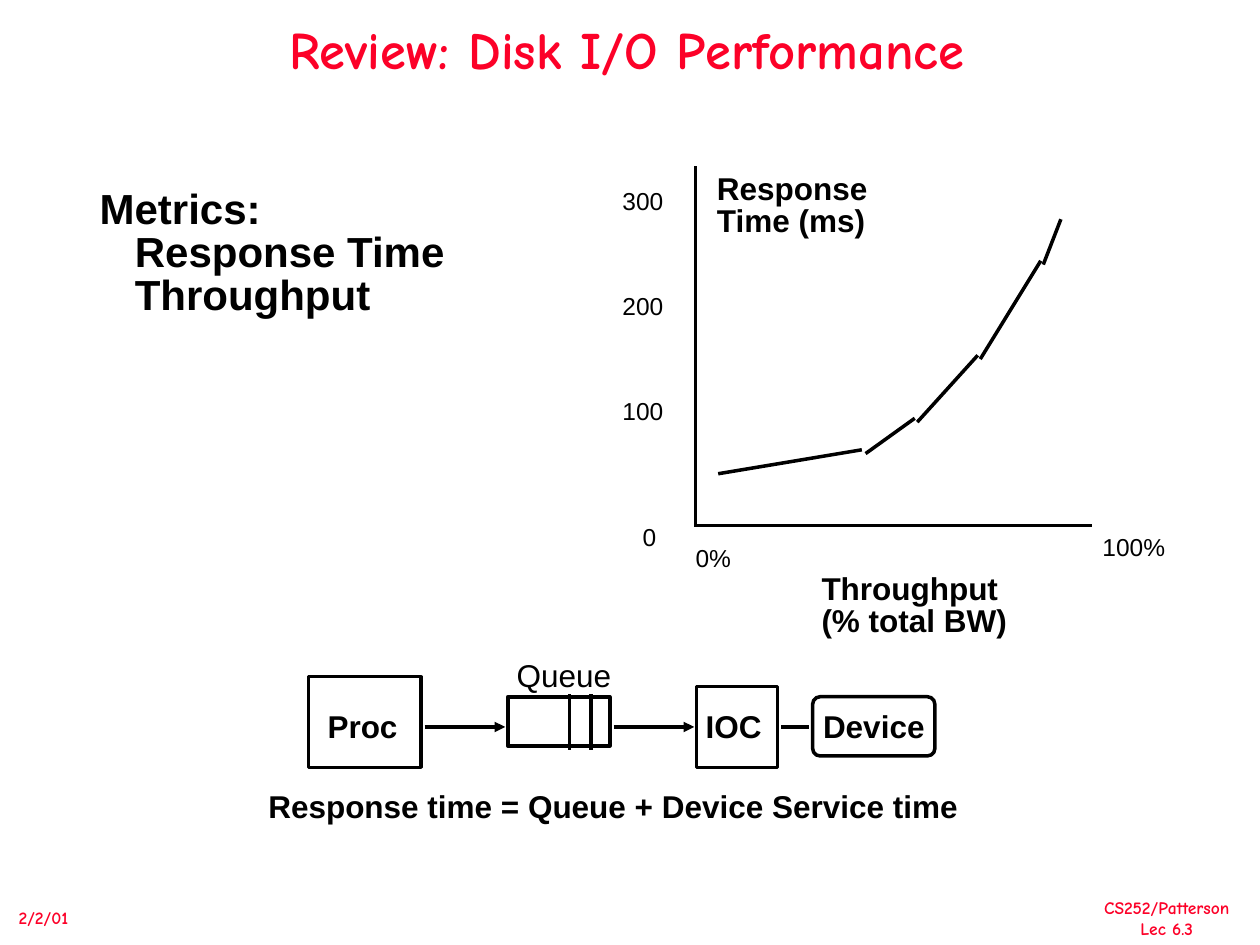
from lxml import etree
from pptx import Presentation
from pptx import util as u
from pptx.dml.color import RGBColor
from pptx.enum import shapes, text
from pptx.oxml.ns import qn

PX = 9144  # 100 px to the inch
RED, BLACK = "FC0128", "000000"
LEFT, CENTER = text.PP_ALIGN.LEFT, text.PP_ALIGN.CENTER

# Text formats
TITLE = dict(name="Comic Neue", size=30, bold=True, color=RED, spacing=0.9, align=CENTER, inset=(10, 5))
FOOTER = dict(TITLE, size=10, spacing=1.0)
DATE = dict(FOOTER, align=LEFT)
LABEL = dict(name="Arial", size=18, bold=True, color=BLACK, spacing=0.85, align=LEFT, inset=(7, 3))
METRICS = dict(LABEL, size=24)
PLAIN = dict(LABEL, bold=False)
CENTERED = dict(LABEL, align=CENTER)
TICK = dict(PLAIN, size=14, spacing=0.9)

# Text: lines, (left, top, width, height), format
TITLE_TEXT = ["Review: Disk I/O Performance"]
FOOTERS = [
    (["CS252/Patterson", "Lec 6.3"], (866, 707, 120, 43), FOOTER),
    (["2/2/01"], (5, 715, 59, 27), DATE),
]
METRICS_TEXT = ["Metrics:", "Response Time", "Throughput"]
SUMMARY = ["Response time = Queue + Device Service time"]
CHART_LABELS = [
    (["Response", "Time (ms)"], (562, 136, 133, 57), LABEL),
    (["Throughput", "(% total BW)"], (645, 453, 161, 57), LABEL),
    (["0"], (503, 414, 25, 27), TICK),
    (["0%"], (545, 431, 42, 27), TICK),
    (["100%"], (868, 422, 64, 27), TICK),
]
Y_TICKS = [("300", 147), ("200", 231), ("100", 314)]

# Lines: (x1, y1, x2, y2)
AXES = [(552, 418, 552, 132), (553, 417, 867, 417)]
CURVE = [
    (570, 376, 684, 357),
    (687, 360, 726, 332),
    (728, 335, 776, 282),
    (778, 285, 826, 207),
    (828, 210, 842, 174),
]

# Request path: box, then its label
RECT, ROUND = shapes.MSO_SHAPE.RECTANGLE, shapes.MSO_SHAPE.ROUNDED_RECTANGLE
STAGES = [
    (RECT, (245, 537, 89, 72), "Proc", (253, 563, 70, 31), LABEL),
    (RECT, (403, 553, 81, 39), "Queue", (403, 522, 89, 31), PLAIN),
    (RECT, (553, 545, 64, 64), "IOC", (553, 563, 58, 31), LABEL),
    (ROUND, (645, 553, 97, 47), "Device", (646, 563, 95, 31), CENTERED),
]
FLOW_Y = 577
FLOWS = [(337, 401, True), (487, 551, True), (620, 642, False)]
QUEUE_SLOTS = [452, 469]


def emu(values):
    return [value * PX for value in values]


def color(value):
    return RGBColor.from_string(value)


def write(box, lines, style, wrap=False, indent=0):
    frame = box.text_frame
    side, end = emu(style["inset"])
    settings = dict(margin_left=side, margin_right=side, margin_top=end, margin_bottom=end,
                    word_wrap=wrap, auto_size=text.MSO_AUTO_SIZE.NONE)
    for key, value in settings.items():
        setattr(frame, key, value)
    for index, line in enumerate(lines):
        para = frame.add_paragraph() if index else frame.paragraphs[0]
        para.alignment, para.line_spacing = style["align"], style["spacing"]
        if index and indent:
            para._p.get_or_add_pPr().set("marL", str(indent * PX))
        span = para.add_run()
        span.text = line
        for key, value in dict(name=style["name"], size=u.Pt(style["size"]), bold=style["bold"]).items():
            setattr(span.font, key, value)
        span.font.color.rgb = color(style["color"])


def add_text(page, lines, place, style, **options):
    write(page.shapes.add_textbox(*emu(place)), lines, style, **options)


def outline(shape):
    shape.line.color.rgb = color(BLACK)
    shape.line.width = u.Pt(2)


def add_line(page, ends, arrow=False):
    line = page.shapes.add_connector(shapes.MSO_CONNECTOR.STRAIGHT, *emu(ends))
    outline(line)
    if arrow:
        etree.SubElement(line.line._get_or_add_ln(), qn("a:tailEnd"), type="triangle")
    etree.SubElement(line._element.spPr, qn("a:effectLst"))


def add_box(page, kind, place):
    box = page.shapes.add_shape(kind, *emu(place))
    box.shadow.inherit = False
    box.fill.background()
    outline(box)
    if kind == ROUND:
        box.adjustments[0] = 0.125


def main():
    deck = Presentation()
    deck.slide_width, deck.slide_height = emu((1000, 750))
    page = deck.slides.add_slide(deck.slide_layouts[5])

    # Title and footers
    title = page.shapes.title
    title.left, title.top, title.width, title.height = emu((85, 21, 825, 42))
    title.text_frame.vertical_anchor = text.MSO_ANCHOR.MIDDLE
    write(title, TITLE_TEXT, TITLE, wrap=True)
    for lines, place, style in FOOTERS:
        add_text(page, lines, place, style)

    # Metrics and summary
    add_text(page, METRICS_TEXT, (72, 148, 288, 108), METRICS, indent=28)
    add_text(page, SUMMARY, (206, 626, 586, 31), LABEL, wrap=True)

    # Response time against throughput
    for ends in AXES + CURVE:
        add_line(page, ends)
    for lines, place, style in CHART_LABELS:
        add_text(page, lines, place, style)
    for tick, top in Y_TICKS:
        add_text(page, [tick], (487, top, 46, 27), TICK)

    # Request path from processor to device
    for kind, place, name, label_place, style in STAGES:
        add_box(page, kind, place)
        add_text(page, [name], label_place, style)
    for x in QUEUE_SLOTS:
        add_line(page, (x, 595, x, 551))
    for start, end, arrow in FLOWS:
        add_line(page, (start, FLOW_Y, end, FLOW_Y), arrow)

    deck.save("out.pptx")


if __name__ == "__main__":
    main()
